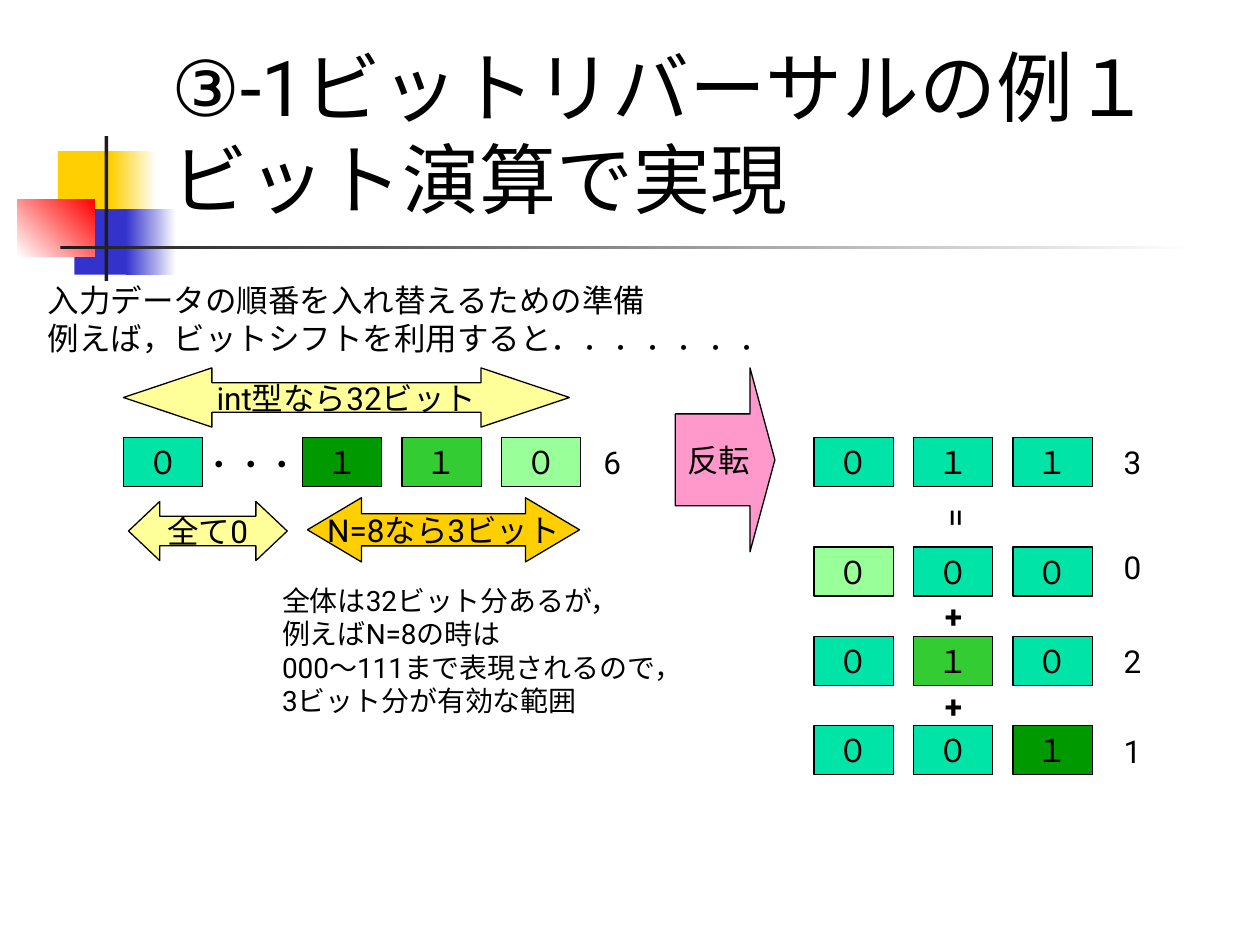
from dataclasses import dataclass

from pptx import Presentation
from pptx.dml.color import RGBColor
from pptx.enum.shapes import MSO_SHAPE
from pptx.enum.text import MSO_ANCHOR, MSO_AUTO_SIZE, PP_ALIGN
from pptx.util import Inches, Pt


@dataclass(frozen=True)
class Theme:
    font: str = "Roboto"
    title_size: int = 44
    body_size: int = 18
    note_size: int = 16
    equals_size: int = 20
    black: str = "000000"
    white: str = "FFFFFF"
    charcoal: str = "1C1C1C"
    gold: str = "FFCF01"
    blue: str = "3333CC"
    red: str = "FF0000"
    teal: str = "00E4A8"
    dark_green: str = "009900"
    green: str = "33CC33"
    light_green: str = "99FF99"
    yellow: str = "FFFF99"
    pink: str = "FF99CC"


T = Theme()

# Content
TITLE = ["③-1ビットリバーサルの例１", "ビット演算で実現"]
INTRO = ["入力データの順番を入れ替えるための準備", "例えば，ビットシフトを利用すると．．．．．．．"]
NOTE = ["全体は32ビット分あるが，", "例えばN=8の時は",
        "000～111まで表現されるので，", "3ビット分が有効な範囲"]

# Decoration: box, fill colours (two make a gradient), gradient angle
ORNAMENTS = [
    ((0.46, 1.2, 0.48, 0.52), [T.gold], 0),
    ((0.88, 1.2, 0.36, 0.52), [T.gold, T.white], 0),
    ((0.59, 1.66, 0.46, 0.52), [T.blue], 0),
    ((1, 1.66, 0.4, 0.52), [T.blue, T.white], 0),
    ((0.14, 1.58, 0.61, 0.46), [T.white, T.red], 45),
    ((0.83, 1.08, 0.03, 1.15), [T.charcoal], 0),
    ((0.48, 1.95, 9, 0.03), [T.charcoal, T.white], 0),
]

# Arrows: preset, box, adjustments, fill, label
ARROWS = [
    (MSO_SHAPE.LEFT_RIGHT_ARROW, (0.98, 2.92, 3.54, 0.47), (0.5, 1.494), T.yellow, "int型なら32ビット"),
    (MSO_SHAPE.LEFT_RIGHT_ARROW, (2.44, 3.95, 2.16, 0.51), (0.5, 0.841), T.gold, "N=8なら3ビット"),
    (MSO_SHAPE.LEFT_RIGHT_ARROW, (1.02, 3.98, 1.26, 0.47), (0.5, 0.529), T.yellow, "全て0"),
    (MSO_SHAPE.RIGHT_ARROW, (5.36, 2.92, 0.79, 1.46), (0.5, 0.25), T.pink, "反転"),
]

# Bit rows: left, top, (digit, fill) cells
BIT_ROWS = [
    (0.98, 3.47, [("０", T.teal)]),
    (2.4, 3.47, [("１", T.dark_green), ("１", T.green), ("０", T.light_green)]),
    (6.46, 3.47, [("０", T.teal), ("１", T.teal), ("１", T.teal)]),
    (6.46, 4.34, [("０", T.light_green), ("０", T.teal), ("０", T.teal)]),
    (6.46, 5.05, [("０", T.teal), ("１", T.green), ("０", T.teal)]),
    (6.46, 5.76, [("０", T.teal), ("０", T.teal), ("１", T.dark_green)]),
]
BIT_WIDTH, BIT_HEIGHT, BIT_STEP = 0.63, 0.39, 0.79

# Decimal values beside the rows: left, top, value
VALUES = [(4.69, 3.47, "6"), (8.82, 3.47, "3"), (8.82, 4.3, "0"),
          (8.82, 5.05, "2"), (8.82, 5.76, "1")]
PLUS_TOPS = [4.69, 5.4]


def write(frame, lines, size, bold=False, align=PP_ALIGN.LEFT):
    for index, line in enumerate(lines):
        paragraph = frame.paragraphs[0] if index == 0 else frame.add_paragraph()
        paragraph.alignment = align
        run = paragraph.add_run()
        run.text = line
        run.font.name = T.font
        run.font.size = Pt(size)
        run.font.bold = bold
        run.font.color.rgb = RGBColor.from_string(T.black)


def add_text(slide, box, lines, size=T.body_size, bold=False, rotation=0):
    label = slide.shapes.add_textbox(*map(Inches, box))
    label.rotation = rotation
    label.text_frame.word_wrap = False
    label.text_frame.auto_size = MSO_AUTO_SIZE.SHAPE_TO_FIT_TEXT
    write(label.text_frame, lines, size, bold)


def add_plain(slide, preset, box, colours, angle=0):
    shape = slide.shapes.add_shape(preset, *map(Inches, box))
    shape.shadow.inherit = False
    shape.line.fill.background()
    if len(colours) == 1:
        shape.fill.solid()
        shape.fill.fore_color.rgb = RGBColor.from_string(colours[0])
    else:
        shape.fill.gradient()
        shape.fill.gradient_angle = angle
        for stop, colour in zip(shape.fill.gradient_stops, colours):
            stop.color.rgb = RGBColor.from_string(colour)
    return shape


def add_labelled(slide, preset, box, colour, label):
    shape = add_plain(slide, preset, box, [colour])
    shape.line.color.rgb = RGBColor.from_string(T.black)
    shape.line.width = Pt(0.75)
    shape.text_frame.word_wrap = False
    shape.text_frame.vertical_anchor = MSO_ANCHOR.MIDDLE
    write(shape.text_frame, [label], T.body_size, align=PP_ALIGN.CENTER)
    return shape


def main():
    deck = Presentation()
    deck.slide_width, deck.slide_height = Inches(10), Inches(7.5)
    slide = deck.slides.add_slide(deck.slide_layouts[6])

    # Corner ornament and rule
    for box, colours, angle in ORNAMENTS:
        add_plain(slide, MSO_SHAPE.RECTANGLE, box, colours, angle)

    # Title and introduction
    title = slide.shapes.add_textbox(*map(Inches, (1.26, 0.23, 8.52, 1.6))).text_frame
    title.word_wrap = True
    title.vertical_anchor = MSO_ANCHOR.BOTTOM
    write(title, TITLE, T.title_size)
    add_text(slide, (0.28, 2.18, 5.95, 0.7), INTRO)

    # Bit cells
    for left, top, cells in BIT_ROWS:
        for column, (digit, colour) in enumerate(cells):
            box = (left + column * BIT_STEP, top, BIT_WIDTH, BIT_HEIGHT)
            add_labelled(slide, MSO_SHAPE.RECTANGLE, box, colour, digit)
    add_text(slide, (1.52, 3.48, 0.95, 0.4), ["・・・"])

    # Arrows
    for preset, box, adjustments, colour, label in ARROWS:
        arrow = add_labelled(slide, preset, box, colour, label)
        for index, value in enumerate(adjustments):
            arrow.adjustments[index] = value

    # Explanation, values and operators
    add_text(slide, (2.14, 4.58, 3.56, 1.17), NOTE, T.note_size)
    for left, top, value in VALUES:
        add_text(slide, (left, top, 0.34, 0.4), [value])
    add_text(slide, (7.42, 3.9, 0.36, 0.44), ["="], T.equals_size, rotation=90)
    for top in PLUS_TOPS:
        add_text(slide, (7.4, top, 0.34, 0.4), ["+"], bold=True)

    deck.save("out.pptx")


if __name__ == "__main__":
    main()
